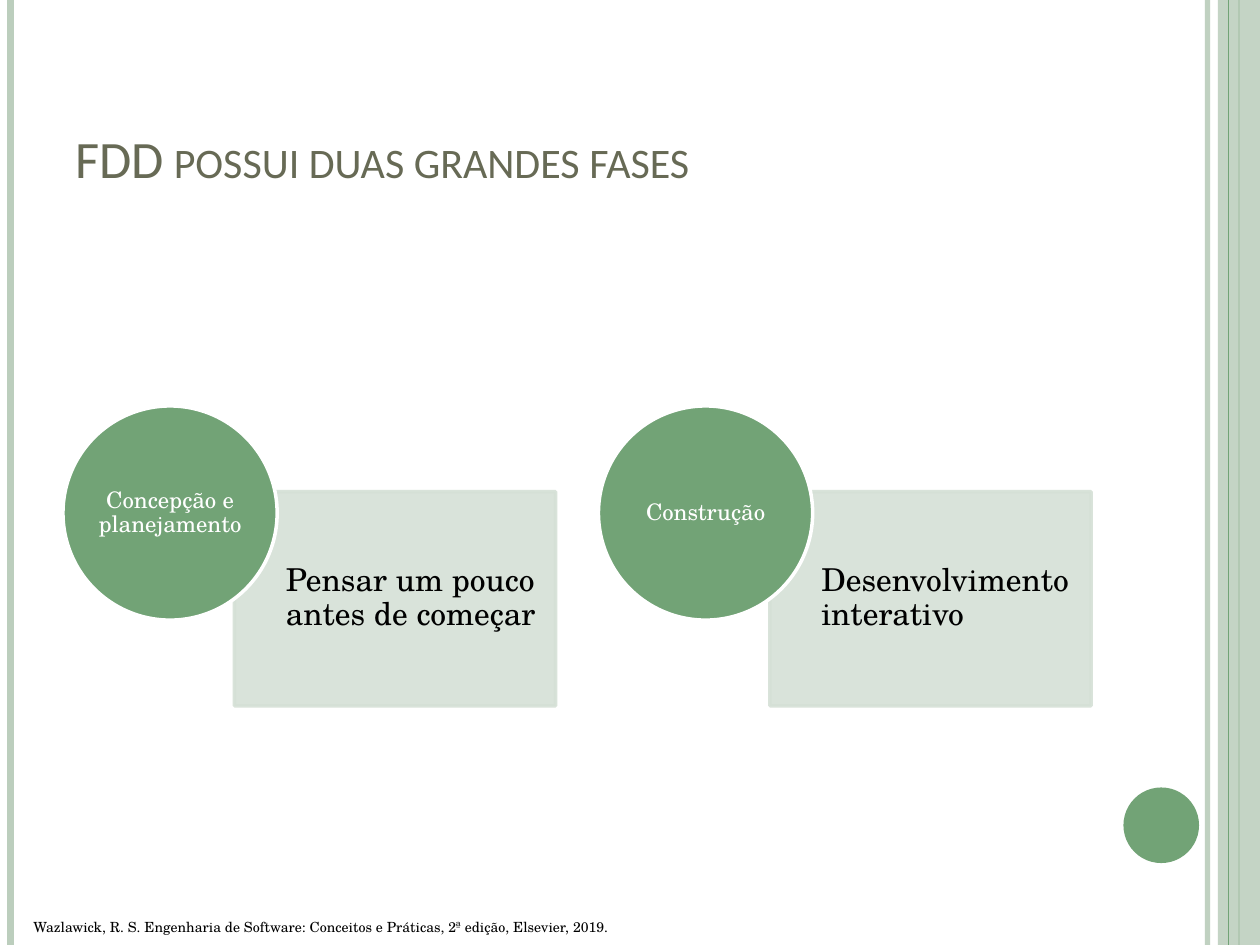
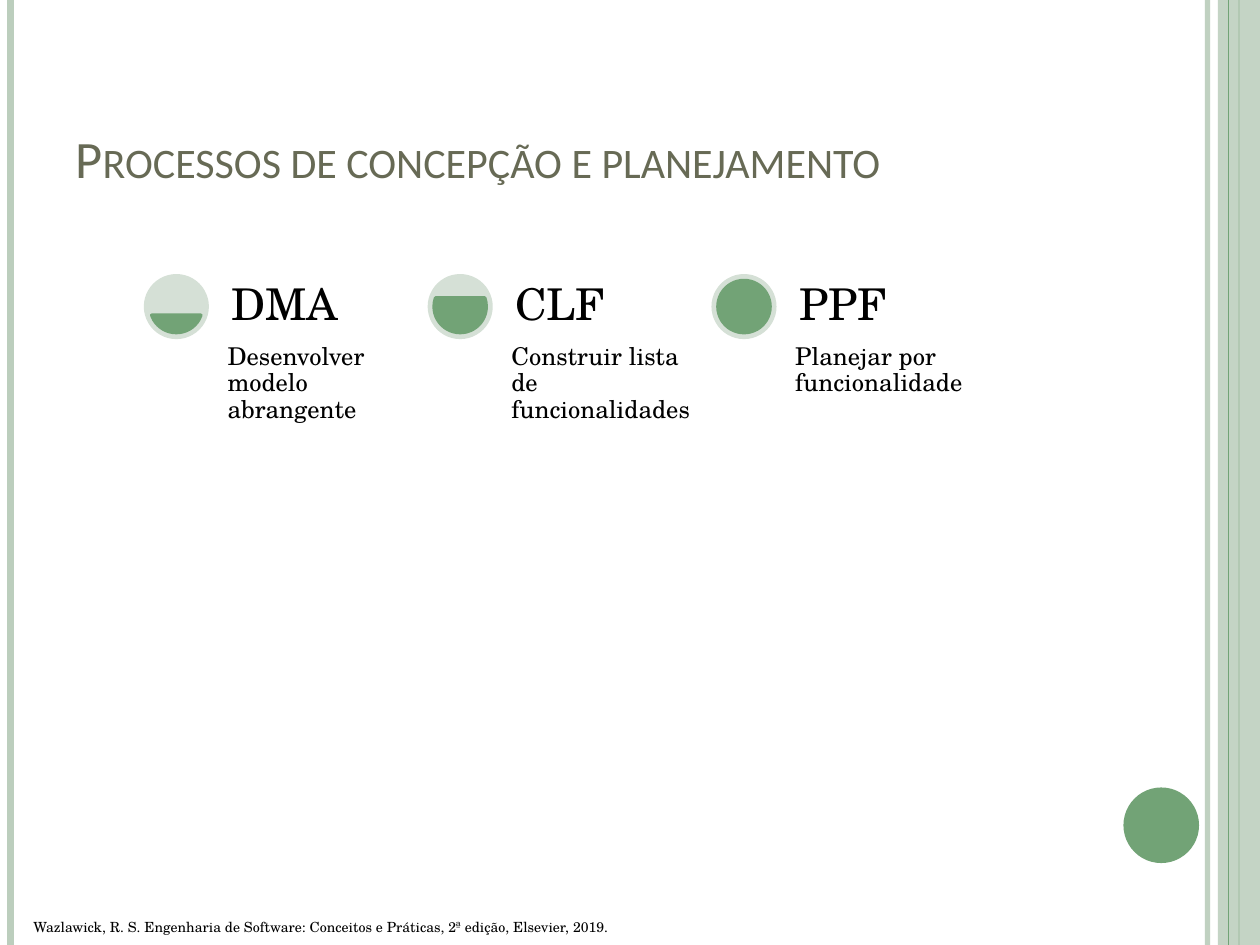
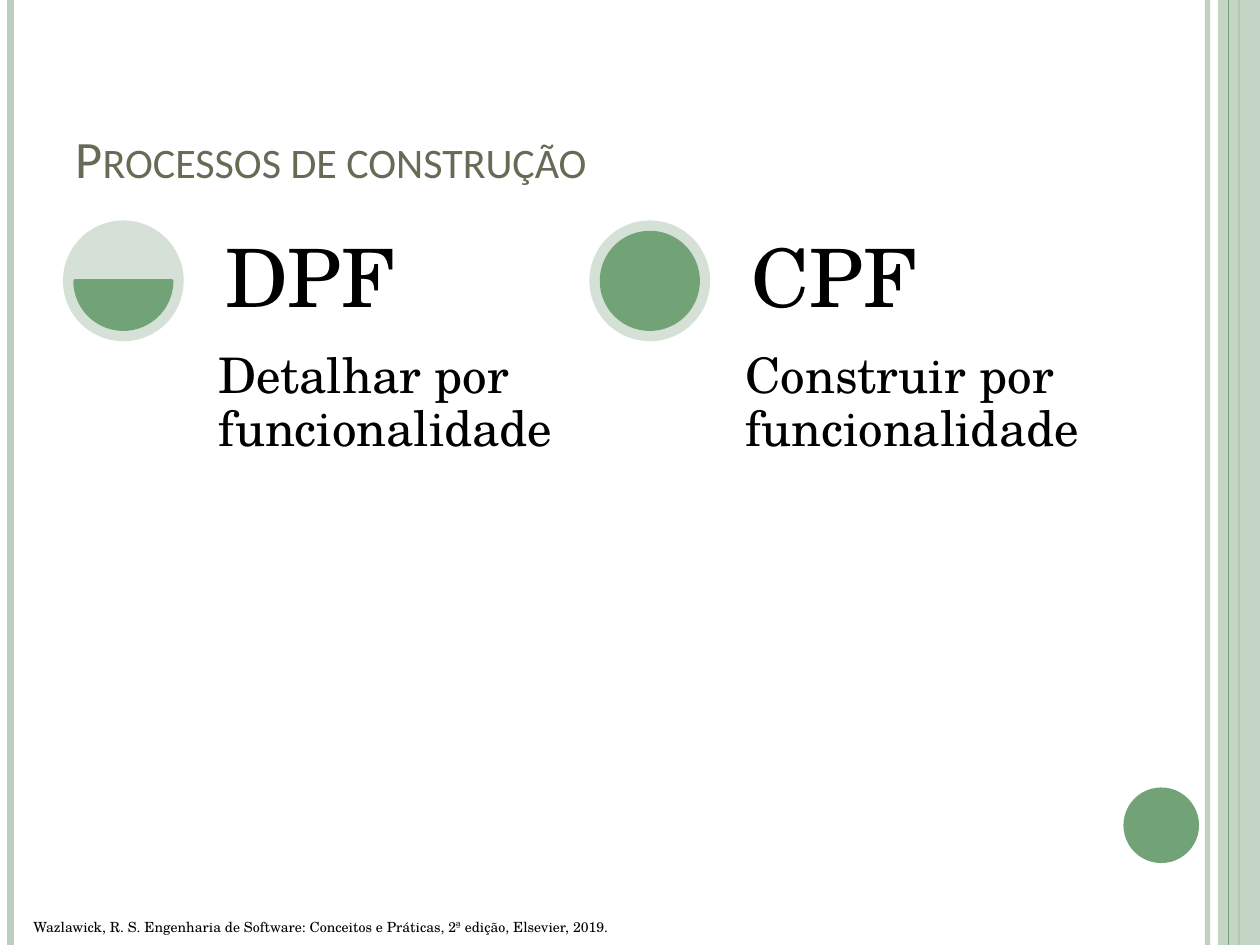
from math import asin, degrees

from lxml.etree import SubElement
from pptx import Presentation
from pptx.dml.color import RGBColor
from pptx.enum.shapes import MSO_CONNECTOR, MSO_SHAPE as Preset
from pptx.enum.text import MSO_ANCHOR as Anchor, PP_ALIGN as Align
from pptx.oxml.ns import qn
from pptx.util import Pt

WIDTH, HEIGHT = 720, 540
COLORS = {
    "title": "676A55", "text": "000000", "white": "FFFFFF",
    "green": "72A376", "band": "BCCEBD", "pale": "D5E0D6",
}
TITLE_FONT, BODY_FONT = "Calibri", "TeX Gyre Schola"

REFERENCE = ("Wazlawick, R. S. Engenharia de Software: Conceitos e Práticas, "
             "2ª edição, Elsevier, 2019.")
PHASES = {
    "title": "FDD possui duas grandes fases",
    "items": [("Concepção e planejamento", "Pensar um pouco antes de começar"),
              ("Construção", "Desenvolvimento interativo")],
}
PROCESSES = [
    {"title": "Processos de concepção e planejamento",
     "left": 82.2, "top": 156.6, "diameter": 37.2, "name_size": 25, "text_size": 14,
     "items": [("DMA", "Desenvolver modelo abrangente"),
               ("CLF", "Construir lista de funcionalidades"),
               ("PPF", "Planejar por funcionalidade")]},
    {"title": "Processos de construção",
     "left": 36, "top": 126, "diameter": 69, "name_size": 46, "text_size": 28,
     "items": [("DPF", "Detalhar por funcionalidade"),
               ("CPF", "Construir por funcionalidade")]},
]


def rgb(name):
    return RGBColor.from_string(COLORS[name])


def set_opacity(fill_parent, percent):
    color = fill_parent.find(qn("a:solidFill"))[0]
    SubElement(color, qn("a:alpha"), val=str(percent * 1000))


def add_shape(slide, preset, box, fill, line=None, opacity=100):
    shape = slide.shapes.add_shape(preset, *map(Pt, box))
    shape.shadow.inherit = False
    shape.fill.solid()
    shape.fill.fore_color.rgb = rgb(fill)
    if line:
        shape.line.color.rgb = rgb(line)
        shape.line.width = Pt(2)
    else:
        shape.line.fill.background()
    if opacity < 100:
        properties = shape.fill._xPr
        set_opacity(properties, opacity)
        if line:
            set_opacity(properties.find(qn("a:ln")), opacity)
    return shape


def add_vertical_line(slide, x, color, width, opacity=100):
    line = slide.shapes.add_connector(MSO_CONNECTOR.STRAIGHT, Pt(x), 0, Pt(x), Pt(HEIGHT))
    line.line.color.rgb = rgb(color)
    line.line.width = Pt(width)
    properties = line._element.spPr
    if opacity < 100:
        set_opacity(properties.find(qn("a:ln")), opacity)
    SubElement(properties, qn("a:effectLst"))
    return line


def write(shape, text, size, color="text", anchor=Anchor.MIDDLE, align=Align.LEFT,
          insets=(0, 0, 0, 0), spacing=0.9, font=BODY_FONT):
    """Fill a shape with one run; insets are left, top, right, bottom."""
    frame = shape.text_frame
    frame.word_wrap = True
    frame.vertical_anchor = anchor
    (frame.margin_left, frame.margin_top,
     frame.margin_right, frame.margin_bottom) = map(Pt, insets)
    paragraph = frame.paragraphs[0]
    paragraph.alignment = align
    paragraph.line_spacing = spacing
    run = paragraph.add_run()
    run.text = text
    run.font.name = font
    run.font.size = Pt(size)
    run.font.color.rgb = rgb(color)
    return run


def add_text(slide, box, text, size, anchor):
    textbox = slide.shapes.add_textbox(*map(Pt, box))
    write(textbox, text, size, anchor=anchor, insets=[size * 0.2] * 4)


def decorate_layout(layout, slide):
    """Draw the shared bands and reference on a slide, then move them to its layout."""
    reference = slide.shapes.add_textbox(Pt(12), Pt(521.3), Pt(348), Pt(17))
    write(reference, REFERENCE, 8, anchor=Anchor.TOP, insets=(7.2, 3.6, 7.2, 3.6), spacing=1)
    reference.text_frame.word_wrap = False
    parts = [
        add_vertical_line(slide, 690, "band", 3, 93),
        add_vertical_line(slide, 6, "band", 4.5),
        add_vertical_line(slide, 708, "green", 1.5),
        add_shape(slide, Preset.RECTANGLE, (696, 0, 24, HEIGHT), "band", opacity=87),
        add_vertical_line(slide, 702, "green", 0.75),
        add_shape(slide, Preset.OVAL, (642, 450, 43.2, 43.2), "green"),
        reference,
    ]
    for part in parts:
        layout.shapes._spTree.append(part._element)


def add_titled_slide(presentation, layout, title):
    slide = presentation.slides.add_slide(layout)
    shape = slide.shapes.title
    shape.left, shape.top, shape.width, shape.height = map(Pt, (36, 21.6, 588, 90))
    run = write(shape, title, 30, "title", Anchor.BOTTOM,
                insets=(7.2, 3.6, 7.2, 3.6), spacing=1, font=TITLE_FONT)
    run.font._element.set("cap", "small")
    return slide


def draw_phases(slide):
    diameter, left, top, pitch = 122.4, 36, 232, 306
    for index, (phase, detail) in enumerate(PHASES["items"]):
        x = left + index * pitch
        card = add_shape(slide, Preset.RECTANGLE,
                         (x + 0.8 * diameter, top + 0.4 * diameter, 1.5 * diameter, diameter),
                         "pale", "pale", 90)
        write(card, detail, 18, insets=(29.4, 10, 10, 10))
        circle = add_shape(slide, Preset.OVAL, (x, top, diameter, diameter), "green", "white")
        write(circle, phase, 13, "white", align=Align.CENTER)


def draw_processes(slide, content):
    """Draw one gauge per process, filled in proportion to its place in the sequence."""
    diameter, top, items = content["diameter"], content["top"], content["items"]
    text_offset, text_width = 1.21 * diameter, 2.96 * diameter
    pitch = 4.36 * diameter
    inner = 0.8 * diameter
    for index, (name, detail) in enumerate(items):
        x = content["left"] + index * pitch
        add_shape(slide, Preset.OVAL, (x, top, diameter, diameter), "pale")
        level = add_shape(slide, Preset.CHORD,
                          (x + 0.1 * diameter, top + 0.1 * diameter, inner, inner),
                          "green", "green")
        start = degrees(asin(1 - 2 * (index + 1) / len(items)))
        for number, angle in enumerate((start, 180 - start)):
            level.adjustments[number] = angle % 360 * 0.6
        text_x = x + text_offset
        add_text(slide, (text_x, top + diameter, text_width, 4.2 * diameter),
                 detail, content["text_size"], Anchor.TOP)
        add_text(slide, (text_x, top, text_width, diameter),
                 name, content["name_size"], Anchor.BOTTOM)


def main():
    presentation = Presentation()
    presentation.slide_width, presentation.slide_height = Pt(WIDTH), Pt(HEIGHT)
    layout = presentation.slide_layouts[5]

    slide = add_titled_slide(presentation, layout, PHASES["title"])
    decorate_layout(layout, slide)
    draw_phases(slide)
    for content in PROCESSES:
        draw_processes(add_titled_slide(presentation, layout, content["title"]), content)

    presentation.save("out.pptx")


if __name__ == "__main__":
    main()
